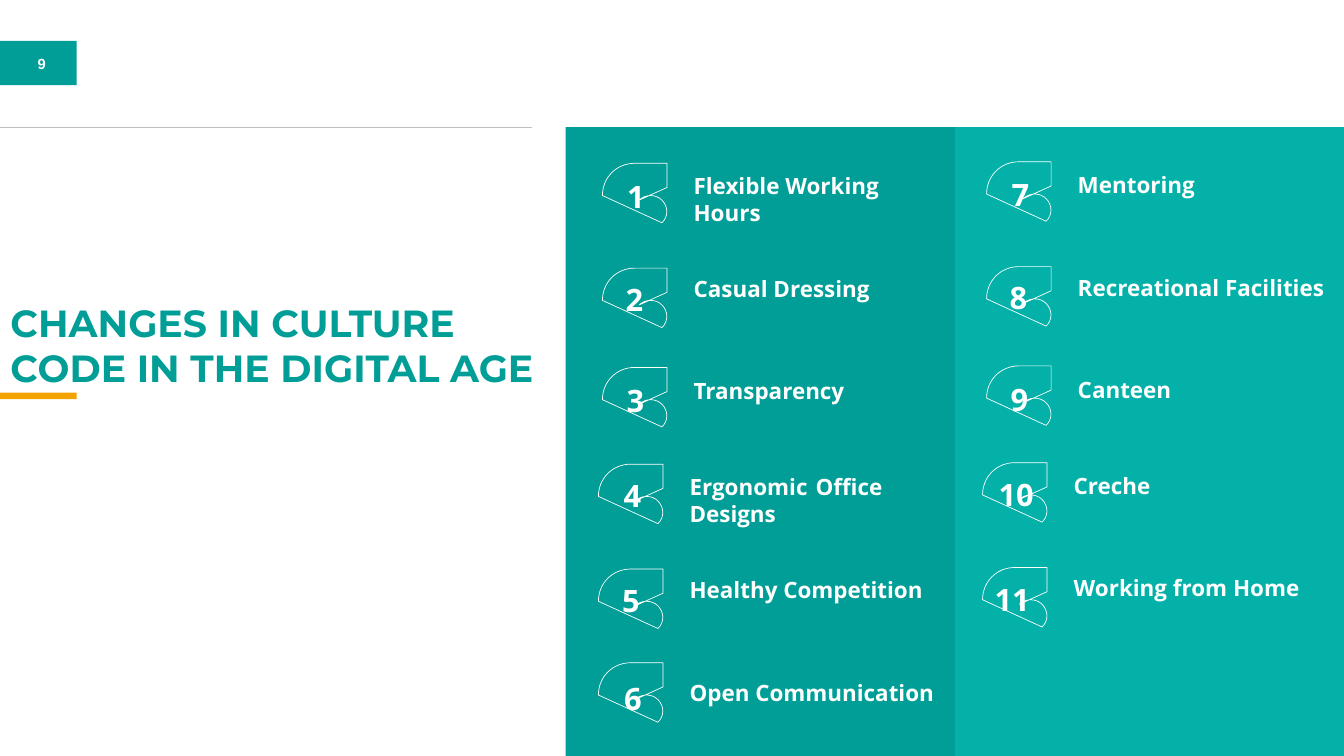
"""Builds the slide on changes in culture code as a numbered two-column list."""
from dataclasses import dataclass
from typing import NamedTuple

from lxml import etree
from pptx import Presentation
from pptx import util as u
from pptx.dml.color import RGBColor
from pptx.enum import shapes, text
from pptx.oxml.ns import qn


@dataclass(frozen=True)
class Theme:
    teal: str = "009E96"
    light: str = "03B1A8"
    gold: str = "F2A301"
    gray: str = "BFBFBF"
    white: str = "FFFFFF"
    head: str = "Montserrat"
    body: str = "Open Sans"
    plain: str = "Arial"
    title: int = 54
    digit: int = 44
    label: int = 32
    page: int = 21


class Box(NamedTuple):
    left: float
    top: float
    width: float
    height: float


class Row(NamedTuple):
    badge: float
    digit: float
    label: float
    shift: float


class Item(NamedTuple):
    label: str
    inset: float
    width: float = 0.81
    lines: int = 1


THEME = Theme()
WIDTH, HEIGHT = 26.66, 15
TOP = 2.52
PANEL = 7.72
START = 11.95
PITCH = 7.62
RISE = 0.03
INDENT = 1.71
SIDE = 1.28
ROWS = [
    Row(3.24, 3.47, 3.37, 0),
    Row(5.32, 5.52, 5.41, 0),
    Row(7.29, 7.53, 7.44, 0),
    Row(9.21, 9.41, 9.34, 0.08),
    Row(11.29, 11.5, 11.38, 0.08),
    Row(13.15, 13.44, 13.43, 0.08),
]
ITEMS = [
    Item("Flexible Working Hours", 0.39, lines=2),
    Item("Casual Dressing", 0.36),
    Item("Transparency", 0.38),
    Item("Ergonomic \tOffice Designs", 0.4, lines=2),
    Item("Healthy Competition", 0.37),
    Item("Open Communication", 0.41),
    Item("Mentoring", 0.4),
    Item("Recreational Facilities", 0.36),
    Item("Canteen", 0.38),
    Item("Creche", 0.22, 0.99),
    Item("Working from Home", 0.14, 1.04),
]
BADGE = [(0.64, 0), (1.28, 0), (1.28, 0.48), (0.73, 0.73), (1.18, 0.73), (1.18, 1.18)]
BENDS = {
    0: [(0, 0.28), (0.28, 0)],
    4: [(0.85, 0.61), (1.06, 0.61)],
    5: [(1.31, 0.86), (1.31, 1.06)],
}


def paint(slide, box: Box, color: str) -> None:
    """Draw a plain filled block."""
    block = slide.shapes.add_shape(shapes.MSO_SHAPE.RECTANGLE, *map(u.Inches, box))
    block.shadow.inherit = False
    block.fill.solid()
    block.fill.fore_color.rgb = RGBColor.from_string(color)
    block.line.fill.background()


def write(slide, box: Box, words: str, size: int, color: str = THEME.white,
          face: str = THEME.body, pad: float = 0.05, wrap: bool = True):
    """Write one bold paragraph and return it."""
    frame = slide.shapes.add_textbox(*map(u.Inches, box)).text_frame
    frame.word_wrap = wrap
    frame.auto_size = text.MSO_AUTO_SIZE.SHAPE_TO_FIT_TEXT
    frame.margin_top = frame.margin_bottom = u.Inches(pad)
    frame.margin_left = frame.margin_right = u.Inches(2 * pad)
    frame.text = words
    para = frame.paragraphs[0]
    if "\t" in words:
        stops = etree.SubElement(para._p.get_or_add_pPr(), qn("a:tabLst"))
        etree.SubElement(stops, qn("a:tab"), pos=str(u.Inches(2.5)), algn="l")
    for run in para.runs:
        run.font.size = u.Pt(size)
        run.font.name = face
        run.font.bold = True
        run.font.color.rgb = RGBColor.from_string(color)
    return para


def rule(slide, left: float, right: float, top: float) -> None:
    """Draw the thin level line."""
    line = slide.shapes.add_connector(
        shapes.MSO_CONNECTOR.STRAIGHT, *map(u.Inches, (right, top, left, top)))
    line.line.color.rgb = RGBColor.from_string(THEME.gray)
    line.line.width = u.Pt(0.5)
    etree.SubElement(line._element.spPr, qn("a:effectLst"))


def badge(slide, left: float, top: float) -> None:
    """Draw the outlined leaf behind a number, turning some sides into curves."""
    points = [(u.Inches(left + x), u.Inches(top + y)) for x, y in BADGE]
    pen = slide.shapes.build_freeform(u.Inches(left), u.Inches(top + SIDE / 2))
    pen.add_line_segments(points, close=True)
    leaf = pen.convert_to_shape()
    trace = leaf._element.find(".//" + qn("a:path"))
    sides = trace.findall(qn("a:lnTo"))
    for index, grips in BENDS.items():
        side = sides[index]
        side.tag_name = None
        curve = etree.Element(qn("a:cubicBezTo"))
        for x, y in grips:
            etree.SubElement(curve, qn("a:pt"), x=str(u.Inches(x)), y=str(u.Inches(y)))
        curve.append(side[0])
        trace.replace(side, curve)
    leaf.height = u.Inches(SIDE)
    trace.set("h", str(u.Inches(SIDE)))
    leaf.shadow.inherit = False
    leaf.fill.background()
    leaf.line.color.rgb = RGBColor.from_string(THEME.white)
    leaf.line.width = u.Pt(1)


def entry(slide, index: int, item: Item) -> None:
    """Draw one numbered item in its grid cell."""
    col, line = divmod(index, len(ROWS))
    row = ROWS[line]
    left = START + col * PITCH - row.shift
    lift = col * RISE
    badge(slide, left, row.badge - lift)
    write(slide, Box(left + INDENT, row.label - lift, 5.21, 0.11 + 0.53 * item.lines),
          item.label, THEME.label)
    write(slide, Box(left + item.inset, row.digit - lift, item.width, 0.84),
          str(index + 1), THEME.digit)


def main() -> None:
    """Build and save the slide."""
    deck = Presentation()
    deck.slide_width, deck.slide_height = u.Inches(WIDTH), u.Inches(HEIGHT)
    slide = deck.slides.add_slide(deck.slide_layouts[6])
    paint(slide, Box(0, 0.81, 1.52, 0.88), THEME.teal)
    page = write(slide, Box(-0.08, 0.98, 1.81, 0.55), "9", THEME.page,
                 face=THEME.plain, pad=0.1, wrap=False)
    page.alignment = text.PP_ALIGN.CENTER
    paint(slide, Box(WIDTH - PANEL, TOP, PANEL, HEIGHT - TOP), THEME.light)
    rule(slide, 0, 10.55, TOP)
    paint(slide, Box(WIDTH - 2 * PANEL, TOP, PANEL, HEIGHT - TOP), THEME.teal)
    write(slide, Box(0.11, 5.9, 10.74, 1.9),
          "CHANGES IN CULTURE CODE IN THE DIGITAL AGE",
          THEME.title, THEME.teal, THEME.head)
    paint(slide, Box(0, 7.79, 1.52, 0.13), THEME.gold)
    for index, item in enumerate(ITEMS):
        entry(slide, index, item)
    deck.save("out.pptx")


if __name__ == "__main__":
    main()
